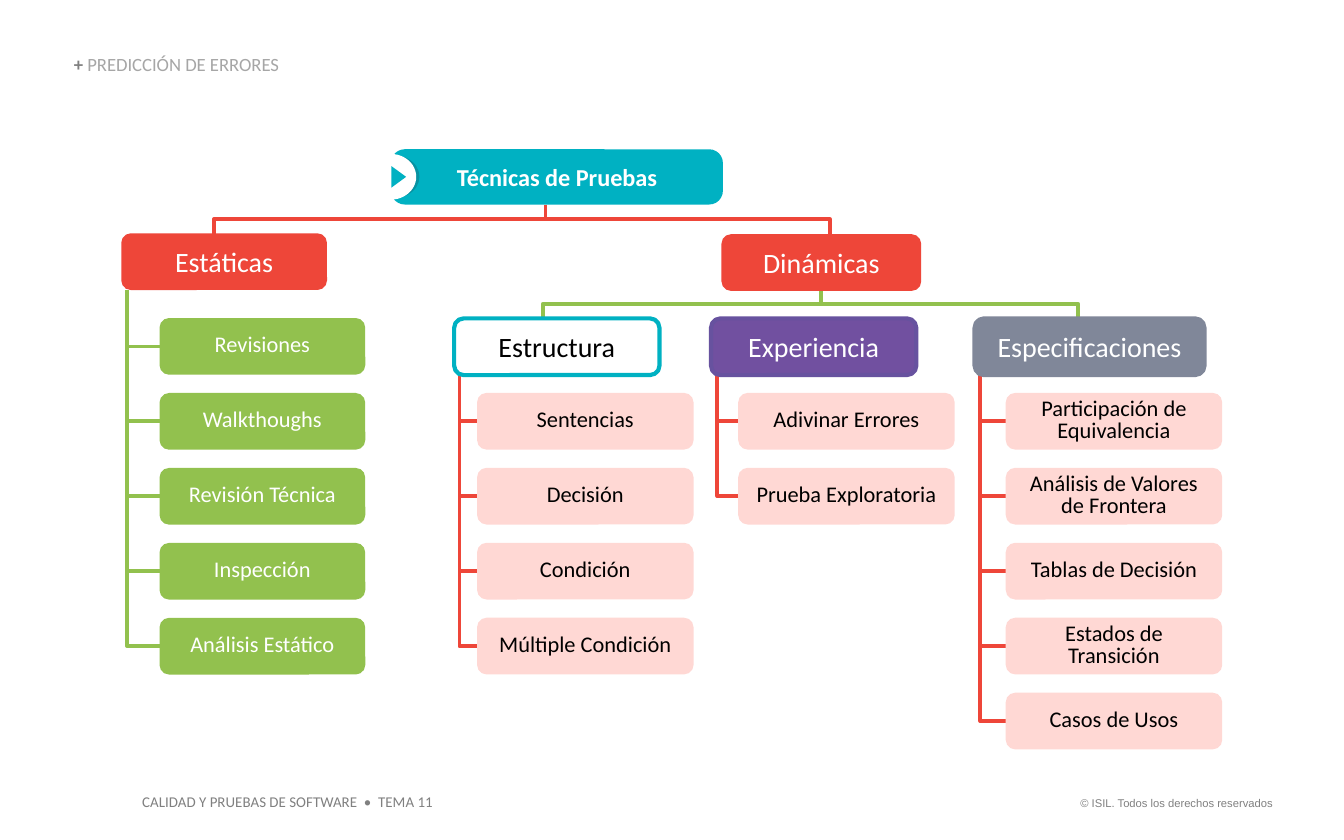
from dataclasses import dataclass

import pptx
import pptx.dml.color
import pptx.enum.shapes
import pptx.enum.text
import pptx.oxml.ns
import pptx.util
from lxml import etree

Kind = pptx.enum.shapes.MSO_SHAPE
Align = pptx.enum.text.PP_ALIGN
Anchor = pptx.enum.text.MSO_ANCHOR
Pt = pptx.util.Pt

RED, GREEN, TEAL, PINK = "EE4639", "92C14E", "00B1C2", "FFD8D4"
WHITE, BLACK, GREY = "FFFFFF", "000000", "808080"
PITCH = 40.15
HIGH = 30.4


@dataclass
class Run:
    text: str
    size: float
    ink: str
    bold: bool = False
    font: str = "Calibri"


@dataclass
class Box:
    left: float
    top: float
    width: float
    fill: str | None
    run: Run
    edge: str | None = None
    height: float = HIGH
    bend: float = 0.167
    space: float = 1.0


@dataclass
class Branch:
    head: Box
    trunk: float
    line: str
    left: float
    top: float
    width: float
    fill: str
    ink: str
    items: list[str]


def tint(code: str) -> pptx.dml.color.RGBColor:
    return pptx.dml.color.RGBColor.from_string(code)


def write(frame, runs: list[Run], align, space: float = 1.0) -> None:
    para = frame.paragraphs[0]
    para.alignment = align
    para.line_spacing = space
    para.space_before = Pt(0)
    for item in runs:
        run = para.add_run()
        run.text = item.text
        run.font.name = item.font
        run.font.size = Pt(item.size)
        run.font.bold = item.bold
        run.font.color.rgb = tint(item.ink)


def clear(frame) -> None:
    frame.margin_left = frame.margin_right = Pt(0)
    frame.margin_top = frame.margin_bottom = Pt(0)
    frame.word_wrap = True


def draw_shape(slide, kind, left: float, top: float, width: float,
               height: float, fill: str | None, edge: str | None = None):
    shape = slide.shapes.add_shape(kind, Pt(left), Pt(top), Pt(width), Pt(height))
    shape.shadow.inherit = False
    if fill:
        shape.fill.solid()
        shape.fill.fore_color.rgb = tint(fill)
    else:
        shape.fill.background()
    if edge:
        shape.line.color.rgb = tint(edge)
        shape.line.width = Pt(2.25)
    else:
        shape.line.fill.background()
    return shape


def draw_box(slide, box: Box) -> None:
    shape = draw_shape(slide, Kind.ROUNDED_RECTANGLE, box.left, box.top,
                       box.width, box.height, box.fill, box.edge)
    shape.adjustments[0] = box.bend
    frame = shape.text_frame
    frame.word_wrap = True
    frame.vertical_anchor = Anchor.MIDDLE
    write(frame, [box.run], Align.CENTER, box.space)


def draw_line(slide, start: tuple[float, float], end: tuple[float, float],
              code: str) -> None:
    line = slide.shapes.add_connector(
        pptx.enum.shapes.MSO_CONNECTOR.STRAIGHT,
        *(Pt(n) for n in (*start, *end)))
    line.line.color.rgb = tint(code)
    line.line.width = Pt(2)
    etree.SubElement(line._element.spPr, pptx.oxml.ns.qn("a:effectLst"))


def draw_bend(slide, points: list[tuple[float, float]], code: str) -> None:
    spots = [(Pt(x), Pt(y)) for x, y in points]
    form = slide.shapes.build_freeform(*spots[0])
    form.add_line_segments(spots[1:], close=False)
    shape = form.convert_to_shape()
    shape.shadow.inherit = False
    shape.fill.background()
    shape.line.color.rgb = tint(code)
    shape.line.width = Pt(2)


def draw_branch(slide, part: Branch) -> None:
    tops = [part.top + PITCH * i for i in range(len(part.items))]
    mids = [top + HIGH / 2 for top in tops]
    base = part.head.top + part.head.height
    draw_bend(slide, [(part.trunk, base), (part.trunk, mids[-1]),
                      (part.left, mids[-1])], part.line)
    for mid in mids[:-1]:
        draw_line(slide, (part.trunk, mid), (part.left, mid), part.line)
    for top, text in zip(tops, part.items):
        draw_box(slide, Box(part.left, top, part.width, part.fill,
                            Run(text, 12, part.ink), space=0.8))
    draw_box(slide, part.head)


def draw_note(slide, left: float, top: float, width: float, run: Run, align) -> None:
    note = slide.shapes.add_textbox(Pt(left), Pt(top), Pt(width), Pt(10))
    clear(note.text_frame)
    note.text_frame.vertical_anchor = Anchor.MIDDLE
    write(note.text_frame, [run], align)


def draw_title(slide) -> None:
    title = slide.shapes.title
    title.left, title.top = Pt(39.6), Pt(29.5)
    title.width, title.height = Pt(260), Pt(10.8)
    clear(title.text_frame)
    title.text_frame.vertical_anchor = Anchor.BOTTOM
    write(title.text_frame, [Run("+ ", 10, GREY, True),
                             Run("PREDICCIÓN DE ERRORES", 10, "A6A6A6")],
          Align.LEFT, 0.9)


def draw_root(slide) -> None:
    draw_box(slide, Box(209.5, 80, 177.8, TEAL,
                        Run("Técnicas de Pruebas", 13, WHITE, True),
                        height=29.6, bend=0.248))
    draw_shape(slide, Kind.OVAL, 199.5, 83.5, 25.2, 22.3, "0792A2")
    draw_shape(slide, Kind.OVAL, 195.8, 82.5, 27.2, 24.5, WHITE)
    mark = draw_shape(slide, Kind.ISOSCELES_TRIANGLE, 207.8, 90.8, 11.6, 7.9, TEAL)
    mark.rotation = 90


def main() -> None:
    deck = pptx.Presentation()
    deck.slide_width, deck.slide_height = Pt(720), Pt(450)
    slide = deck.slides.add_slide(deck.slide_layouts[5])
    draw_title(slide)
    draw_note(slide, 76.2, 424.4, 200,
              Run("CALIDAD Y PRUEBAS DE SOFTWARE  •  TEMA 11", 8, GREY), Align.LEFT)
    draw_note(slide, 531.8, 425.4, 150,
              Run("© ISIL. Todos los derechos reservados", 6, GREY, font="Arial"),
              Align.RIGHT)

    draw_line(slide, (292.2, 109.6), (292.2, 117.4), RED)
    draw_bend(slide, [(114.6, 125.4), (114.6, 117.4), (444.6, 117.4), (444.6, 126)], RED)
    draw_line(slide, (440, 155), (440, 162.7), GREEN)
    draw_bend(slide, [(290.8, 170.6), (290.8, 162.7), (577.6, 162.7), (577.6, 171)], GREEN)
    draw_root(slide)
    draw_box(slide, Box(386.5, 125.5, 107, RED, Run("Dinámicas", 15, WHITE)))

    level, first = 170.6, 210.5
    for part in (
        Branch(Box(65, 125, 110.2, RED, Run("Estáticas", 15, WHITE)),
               68.2, GREEN, 85.5, 170.4, 110.2, GREEN, WHITE,
               ["Revisiones", "Walkthoughs", "Revisión Técnica", "Inspección",
                "Análisis Estático"]),
        Branch(Box(243.3, level, 110, None, Run("Estructura", 15, BLACK), TEAL),
               246.1, RED, 255.6, first, 116, PINK, BLACK,
               ["Sentencias", "Decisión", "Condición", "Múltiple Condición"]),
        Branch(Box(380.9, level, 110, "7150A0", Run("Experiencia", 15, WHITE), "67529F"),
               384.3, RED, 395.5, first, 116, PINK, BLACK,
               ["Adivinar Errores", "Prueba Exploratoria"]),
        Branch(Box(522.1, level, 123.2, "808799",
                   Run("Especificaciones", 15, WHITE), "808799"),
               525.2, RED, 538.8, first, 116, PINK, BLACK,
               ["Participación de Equivalencia", "Análisis de Valores de Frontera",
                "Tablas de Decisión", "Estados de Transición", "Casos de Usos"]),
    ):
        draw_branch(slide, part)
    deck.save("out.pptx")


if __name__ == "__main__":
    main()
